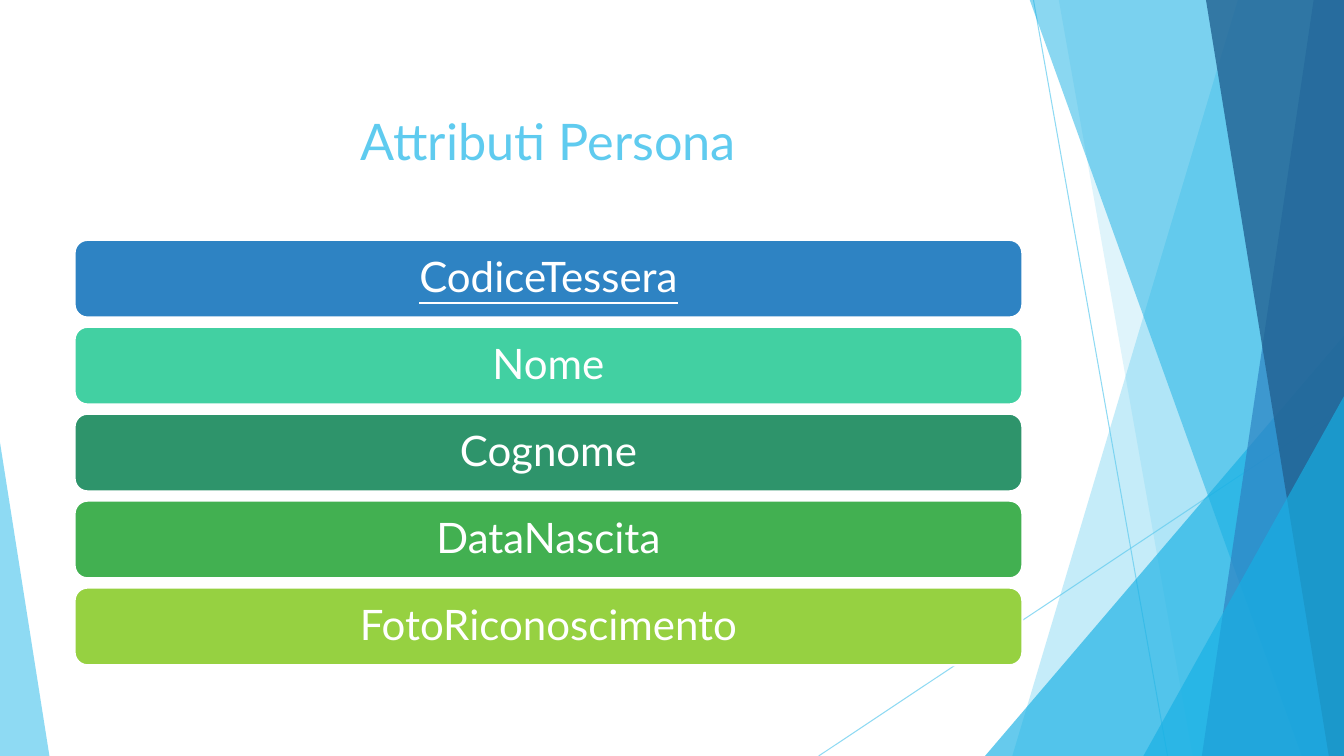
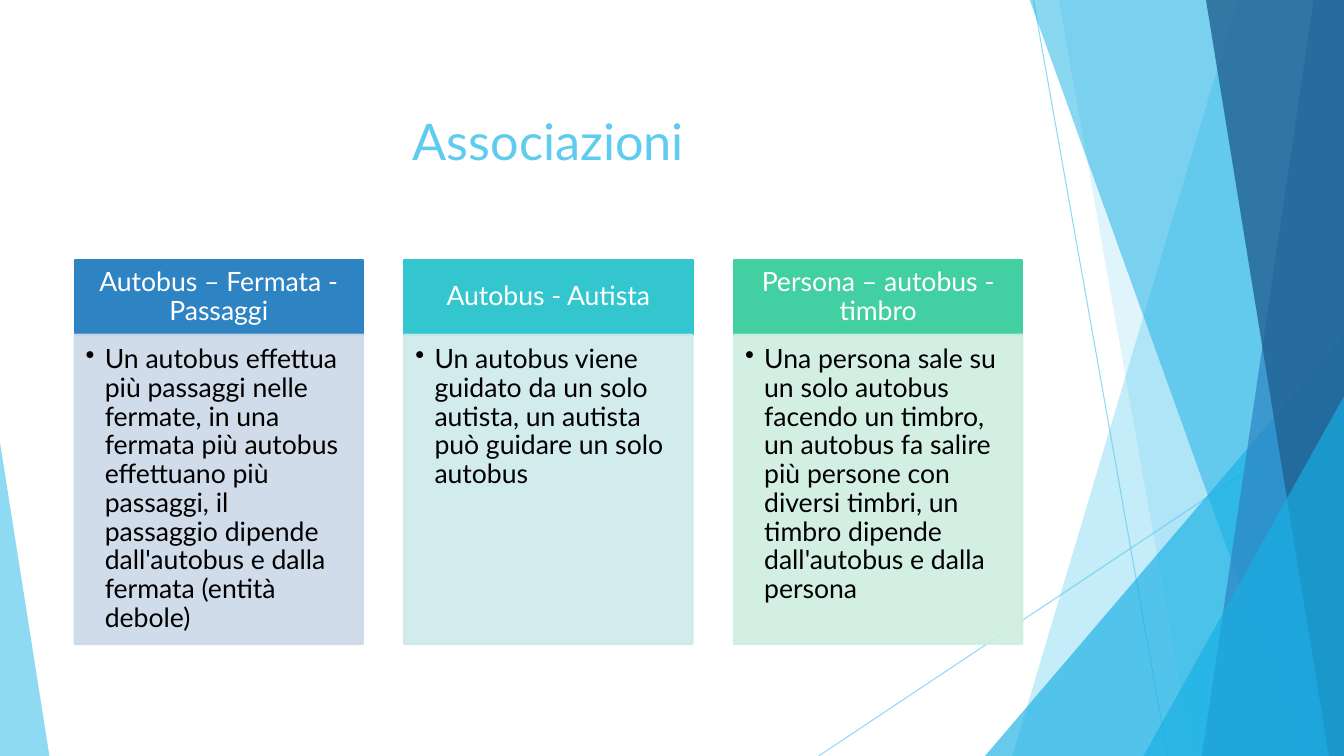
"""Build two slides on the attributes and links of a bus database."""
from lxml import etree
from pptx import Presentation, util as u
from pptx.dml.color import RGBColor
from pptx.enum import shapes as kinds, text as t
from pptx.oxml import ns

HUES = {
    "sky": "5FCBEF", "cyan": "17B0E4", "blue": "2E83C3", "navy": "226292",
    "teal": "34C6CE", "mint": "42D0A2", "pine": "2E946B", "green": "42B051",
    "lime": "96D141", "white": "FFFFFF", "black": "000000",
    "pale blue": "CDD9E9", "pale teal": "CEE9EC", "pale mint": "CFEEE0",
}
FONT = "Lato"
WIDE, HIGH = 13.33, 7.5
HEAD = (0.74, 0.67, 9.4, 1.44)
ROWS = (0.74, 2.38, 9.4, 4.22)
CARDS = (0.74, 2.58, 9.4, 3.81)

RAYS = [((10.25, 0), (11.58, HIGH)), ((WIDE, 4.03), (8.12, HIGH))]
BANDS = [
    ("band", 12.28, 10.04, "sky", 36),
    ("band", 10.5, 11.83, "sky", 20),
    ("peak", (9.77, 3.33, 3.56, 4.17), 1, "cyan", 66),
    ("band", 10.21, 12.91, "cyan", 50),
    ("band", 13.03, 11.92, "blue", 70),
    ("band", 11.96, 13.18, "navy", 80),
    ("peak", (11.34, 3.93, 1.99, 3.57), 1, "cyan", 66),
    ("peak", (0, 4.39, 0.49, 3.11), 0, "sky", 70),
]
FIELDS = [
    ("CodiceTessera", "blue"), ("Nome", "mint"), ("Cognome", "pine"),
    ("DataNascita", "green"), ("FotoRiconoscimento", "lime"),
]
LINKS = [
    ("Autobus – Fermata - Passaggi", "blue",
     "Un autobus effettua più passaggi nelle fermate, in una fermata più "
     "autobus effettuano più passaggi, il passaggio dipende dall'autobus "
     "e dalla fermata (entità debole)"),
    ("Autobus - Autista", "teal",
     "Un autobus viene guidato da un solo autista, un autista può guidare "
     "un solo autobus"),
    ("Persona – autobus - timbro", "mint",
     "Una persona sale su un solo autobus facendo un timbro, un autobus fa "
     "salire più persone con diversi timbri, un timbro dipende "
     "dall'autobus e dalla persona"),
]


def hue(name):
    """Return the named colour."""
    return RGBColor.from_string(HUES[name])


def inch(box):
    """Turn a row of numbers into lengths."""
    return [u.Inches(side) for side in box]


def fade(shape, part):
    """Set the opacity of fill and line in percent."""
    for tint in shape.element.spPr.iter(ns.qn("a:srgbClr")):
        etree.SubElement(tint, ns.qn("a:alpha"), val=str(part * 1000))


def paint(shape, fill, line=None):
    """Give a shape a flat fill and a line, or none."""
    shape.shadow.inherit = False
    shape.fill.solid()
    shape.fill.fore_color.rgb = hue(fill)
    if line:
        shape.line.color.rgb = hue(line)
        shape.line.width = u.Pt(1.5)
    else:
        shape.line.fill.background()


def write(shape, words, size, color, align=t.PP_ALIGN.CENTER):
    """Put one styled paragraph in a shape and return it."""
    frame = shape.text_frame
    frame.text = words
    frame.word_wrap = True
    frame.vertical_anchor = t.MSO_ANCHOR.MIDDLE
    para = frame.paragraphs[0]
    para.alignment = align
    for run in para.runs:
        run.font.name = FONT
        run.font.size = u.Pt(size)
        run.font.color.rgb = hue(color)
    return para


def space(para, after):
    """Set tight lines and the gap below in points."""
    para.line_spacing = 0.9
    para.space_after = u.Pt(after)


def pad(shape, left, top, right, base):
    """Set the inner margins of a shape."""
    frame = shape.text_frame
    frame.margin_left, frame.margin_top = inch((left, top))
    frame.margin_right, frame.margin_bottom = inch((right, base))


def dot(shape):
    """Give the text of a shape a hanging bullet."""
    hang = u.Inches(0.19)
    for style in shape.element.iter(ns.qn("a:pPr")):
        style.set("marL", str(hang))
        style.set("indent", str(-hang))
        etree.SubElement(style, ns.qn("a:buChar"), char="•")


def ray(parts, start, end):
    """Draw one thin line of the backdrop."""
    line = parts.add_connector(kinds.MSO_CONNECTOR.STRAIGHT, *inch(start + end))
    line.line.color.rgb = hue("sky")
    line.line.width = u.Pt(0.75)
    fade(line, 70)
    etree.SubElement(line.element.spPr, ns.qn("a:effectLst"))


def band(parts, top, base):
    """Outline a band from a slanted edge to the right side."""
    edge = [(WIDE, -0.01), (WIDE, HIGH), (base, HIGH)]
    pen = parts.build_freeform(*inch((top, -0.01)), scale=1.0)
    pen.add_line_segments([inch(spot) for spot in edge], close=True)
    return pen.convert_to_shape()


def peak(parts, box, tip):
    """Add a triangle with its tip at one side."""
    shape = parts.add_shape(kinds.MSO_SHAPE.ISOSCELES_TRIANGLE, *inch(box))
    shape.adjustments[0] = tip
    return shape


def decor(slide):
    """Draw the shared backdrop and hand it to the slide's layout."""
    layout = slide.slide_layout
    for spot in list(layout.placeholders)[1:]:
        spot.element.getparent().remove(spot.element)
    group = slide.shapes.add_group_shape()
    for start, end in RAYS:
        ray(group.shapes, start, end)
    make = {"band": band, "peak": peak}
    for kind, place, turn, color, part in BANDS:
        shape = make[kind](group.shapes, place, turn)
        paint(shape, color)
        fade(shape, part)
    layout.shapes.element.insert(2, group.element)


def head(slide, words, box):
    """Place and style the title."""
    title = slide.shapes.title
    title.left, title.top, title.width, title.height = inch(box)
    write(title, words, 36, "sky")


def rows(slide, box, items):
    """Stack one rounded bar for each field; the first is the key."""
    left, top, wide, high = box
    tall = 0.77
    step = (high - tall) / (len(items) - 1)
    for rank, (name, color) in enumerate(items):
        place = inch((left, top + rank * step, wide, tall))
        bar = slide.shapes.add_shape(kinds.MSO_SHAPE.ROUNDED_RECTANGLE, *place)
        paint(bar, color, "white")
        para = write(bar, name, 30, "white")
        space(para, 10.5)
        pad(bar, 0.12, 0.12, 0.12, 0.12)
        if rank == 0:
            para.runs[0].font.underline = True


def card(slide, box, name, color, words):
    """Draw a coloured heading above a pale panel with one bullet."""
    left, top, wide, high = box
    tall = 0.74
    rect = kinds.MSO_SHAPE.RECTANGLE
    cap = slide.shapes.add_shape(rect, *inch((left, top, wide, tall)))
    paint(cap, color, color)
    space(write(cap, name, 19, "white"), 6.65)
    pad(cap, 0.15, 0.08, 0.15, 0.08)
    place = inch((left, top + tall, wide, high - tall))
    panel = slide.shapes.add_shape(rect, *place)
    paint(panel, "pale " + color, "pale " + color)
    fade(panel, 90)
    space(write(panel, words, 19, "black", t.PP_ALIGN.LEFT), 2.85)
    panel.text_frame.vertical_anchor = t.MSO_ANCHOR.TOP
    pad(panel, 0.11, 0.11, 0.15, 0.17)
    dot(panel)


def cards(slide, box, items):
    """Set equal cards side by side."""
    left, top, wide, high = box
    each = 2.86
    step = (wide - each) / (len(items) - 1)
    for rank, item in enumerate(items):
        card(slide, (left + rank * step, top, each, high), *item)


def main():
    """Build and save the deck."""
    deck = Presentation()
    deck.slide_width, deck.slide_height = inch((WIDE, HIGH))
    plan = [("Attributi Persona", rows, ROWS, FIELDS),
            ("Associazioni", cards, CARDS, LINKS)]
    for rank, (title, fill, box, items) in enumerate(plan):
        slide = deck.slides.add_slide(deck.slide_layouts[5])
        if rank == 0:
            decor(slide)
        head(slide, title, HEAD)
        fill(slide, box, items)
    deck.save("out.pptx")


main()
